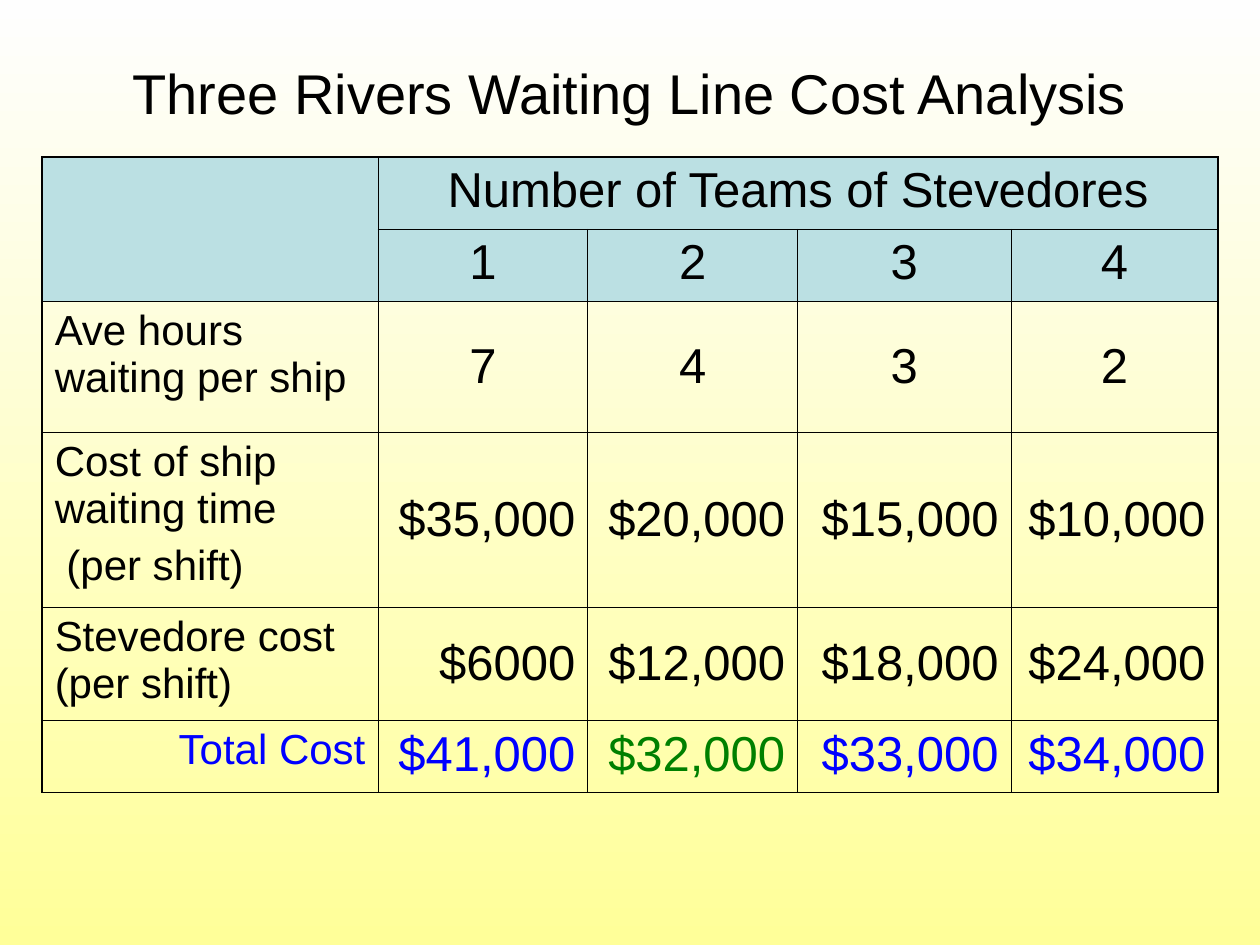
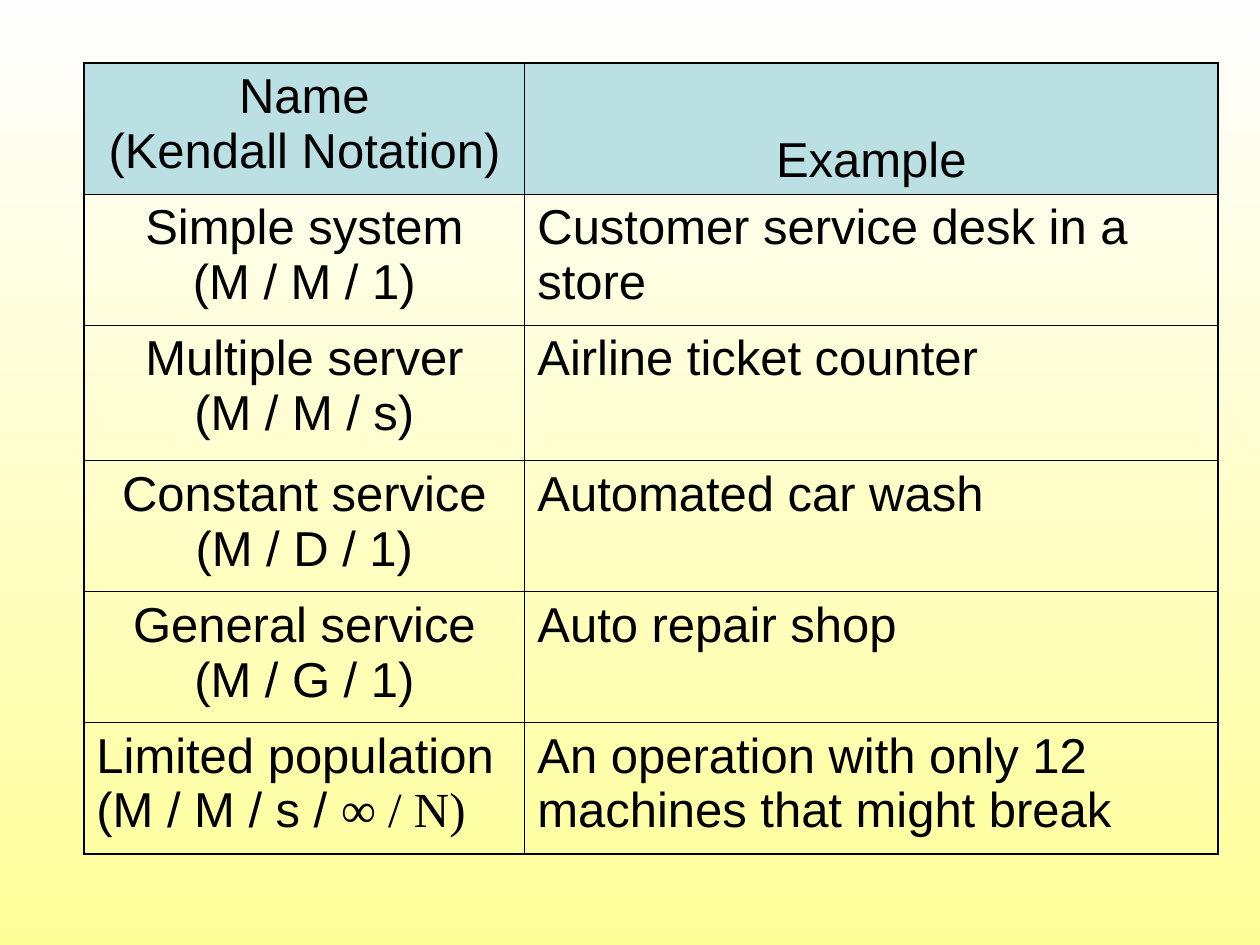
from lxml.etree import SubElement
from pptx import Presentation
from pptx.dml.color import RGBColor
from pptx.enum.text import MSO_ANCHOR, PP_ALIGN
from pptx.oxml.ns import qn
from pptx.util import Cm, Pt

BLACK = "000000"
BLUE = "0000FF"
GREEN = "008000"
HEADER = "BBE0E3"
SKY = "FEFEFE"
SAND = "FFFF99"
FONT = "Arial"
SYMBOL_FONT = "Times New Roman"
OUTER, INNER = 1.08, 0.45
PLAIN_TABLE_STYLE = "{2D5ABB26-0587-4C30-8999-92F81FD0307C}"
LEFT, CENTER, RIGHT = PP_ALIGN.LEFT, PP_ALIGN.CENTER, PP_ALIGN.RIGHT
TOP, MIDDLE, BOTTOM = MSO_ANCHOR.TOP, MSO_ANCHOR.MIDDLE, MSO_ANCHOR.BOTTOM

TEAMS = ["1", "2", "3", "4"]
COST_ROWS = [
    ("Ave hours waiting per ship", ["7", "4", "3", "2"], CENTER),
    ("Cost of ship waiting time\n (per shift)",
     ["$35,000", "$20,000", "$15,000", "$10,000"], RIGHT),
    ("Stevedore cost (per shift)",
     ["$6000", "$12,000", "$18,000", "$24,000"], RIGHT),
]
TOTALS = [("$41,000", BLUE), ("$32,000", GREEN), ("$33,000", BLUE), ("$34,000", BLUE)]
MODELS = [
    ("Simple system\n(M / M / 1)", "Customer service desk in a store"),
    ("Multiple server\n(M / M / s)", "Airline ticket counter"),
    ("Constant service\n(M / D / 1)", "Automated car wash"),
    ("General service\n(M / G / 1)", "Auto repair shop"),
]


def rgb(color):
    return RGBColor.from_string(color)


def write_text(holder, text, size=28, color=BLACK, align=LEFT, anchor=TOP,
               space_before=0, symbols=""):
    holder.vertical_anchor = anchor
    frame = holder.text_frame if hasattr(holder, "text_frame") else holder
    for index, line in enumerate(text.split("\n")):
        paragraph = frame.add_paragraph() if index else frame.paragraphs[0]
        paragraph.alignment = align
        paragraph.space_before = Pt(space_before)
        add_run(paragraph, line, FONT, size, color)
    if symbols:
        add_run(paragraph, symbols, SYMBOL_FONT, size, color)


def add_run(paragraph, text, font, size, color):
    run = paragraph.add_run()
    run.text = text
    run.font.name = font
    run.font.size = Pt(size)
    run.font.color.rgb = rgb(color)


def add_border(cell, side, width):
    line = SubElement(cell._tc.get_or_add_tcPr(), qn(f"a:ln{side}"), w=str(Pt(width)))
    fill = SubElement(line, qn("a:solidFill"))
    SubElement(fill, qn("a:srgbClr"), val=BLACK)


def add_grid(slide, left, top, widths, heights, header_rows, merges=()):
    frame = slide.shapes.add_table(len(heights), len(widths), Cm(left), Cm(top),
                                   Cm(sum(widths)), Cm(sum(heights)))
    table = frame.table
    table.first_row = table.horz_banding = False
    table._tbl.tblPr.find(qn("a:tableStyleId")).text = PLAIN_TABLE_STYLE
    for column, width in zip(table.columns, widths):
        column.width = Cm(width)
    for row, height in zip(table.rows, heights):
        row.height = Cm(height)
    for first, last in merges:
        table.cell(*first).merge(table.cell(*last))
    for row in range(len(heights)):
        for column in range(len(widths)):
            cell = table.cell(row, column)
            if not cell.is_spanned:
                style_cell(cell, row, column, len(heights), len(widths), row < header_rows)
    return table


def style_cell(cell, row, column, row_count, column_count, is_header):
    at_edge = {
        "L": column == 0,
        "R": column + cell.span_width == column_count,
        "T": row == 0,
        "B": row + cell.span_height == row_count,
    }
    for side, is_outer in at_edge.items():
        add_border(cell, side, OUTER if is_outer else INNER)
    if is_header:
        cell.fill.solid()
        cell.fill.fore_color.rgb = rgb(HEADER)
    else:
        cell.fill.background()


def add_title(slide, text, left, top, width, height):
    frame = slide.shapes.add_textbox(Cm(left), Cm(top), Cm(width), Cm(height)).text_frame
    frame.word_wrap = True
    write_text(frame, text, size=32, align=CENTER, anchor=MIDDLE)


def add_cost_table(slide, left, top):
    table = add_grid(slide, left, top, [6.77, 4.23, 4.23, 4.3, 4.17],
                     [1.45, 1.45, 2.64, 3.53, 2.28, 1.45], header_rows=2,
                     merges=[((0, 0), (1, 0)), ((0, 1), (0, 4))])
    write_text(table.cell(0, 1), "Number of Teams of Stevedores", align=CENTER, space_before=7)
    for column, team in enumerate(TEAMS, 1):
        write_text(table.cell(1, column), team, align=CENTER, space_before=7)
    for row, (label, values, align) in enumerate(COST_ROWS, 2):
        write_text(table.cell(row, 0), label, size=24, space_before=6)
        for column, value in enumerate(values, 1):
            write_text(table.cell(row, column), value, align=align, anchor=MIDDLE,
                       space_before=7)
    write_text(table.cell(5, 0), "Total Cost", size=24, color=BLUE, align=RIGHT,
               space_before=6)
    for column, (total, color) in enumerate(TOTALS, 1):
        write_text(table.cell(5, column), total, color=color, align=RIGHT, space_before=7)


def add_model_table(slide, left, top):
    table = add_grid(slide, left, top, [8.89, 13.97],
                     [2.64, 2.64, 2.74, 2.64, 2.64, 2.64], header_rows=1)
    write_text(table.cell(0, 0), "Name\n(Kendall Notation)", align=CENTER)
    write_text(table.cell(0, 1), "Example", align=CENTER, anchor=BOTTOM)
    for row, (name, example) in enumerate(MODELS, 1):
        write_text(table.cell(row, 0), name, align=CENTER)
        write_text(table.cell(row, 1), example)
    write_text(table.cell(5, 0), "Limited population\n(M / M / s / ", symbols="∞ / N)")
    write_text(table.cell(5, 1), "An operation with only 12 machines that might break")


def set_background(master):
    fill = master.background.fill
    fill.gradient()
    fill.gradient_angle = 270
    for stop, color, position in zip(fill.gradient_stops, (SKY, SAND), (0, 1)):
        stop.color.rgb = rgb(color)
        stop.position = position


def main():
    presentation = Presentation()
    presentation.slide_width, presentation.slide_height = Cm(25.4), Cm(19.05)
    set_background(presentation.slide_master)
    blank = presentation.slide_layouts[6]

    cost_slide = presentation.slides.add_slide(blank)
    add_title(cost_slide, "Three Rivers Waiting Line Cost Analysis", 1.27, 0.76, 22.86, 2.21)
    add_cost_table(cost_slide, 0.85, 3.17)

    model_slide = presentation.slides.add_slide(blank)
    add_model_table(model_slide, 1.69, 1.27)

    presentation.save("out.pptx")


if __name__ == "__main__":
    main()
